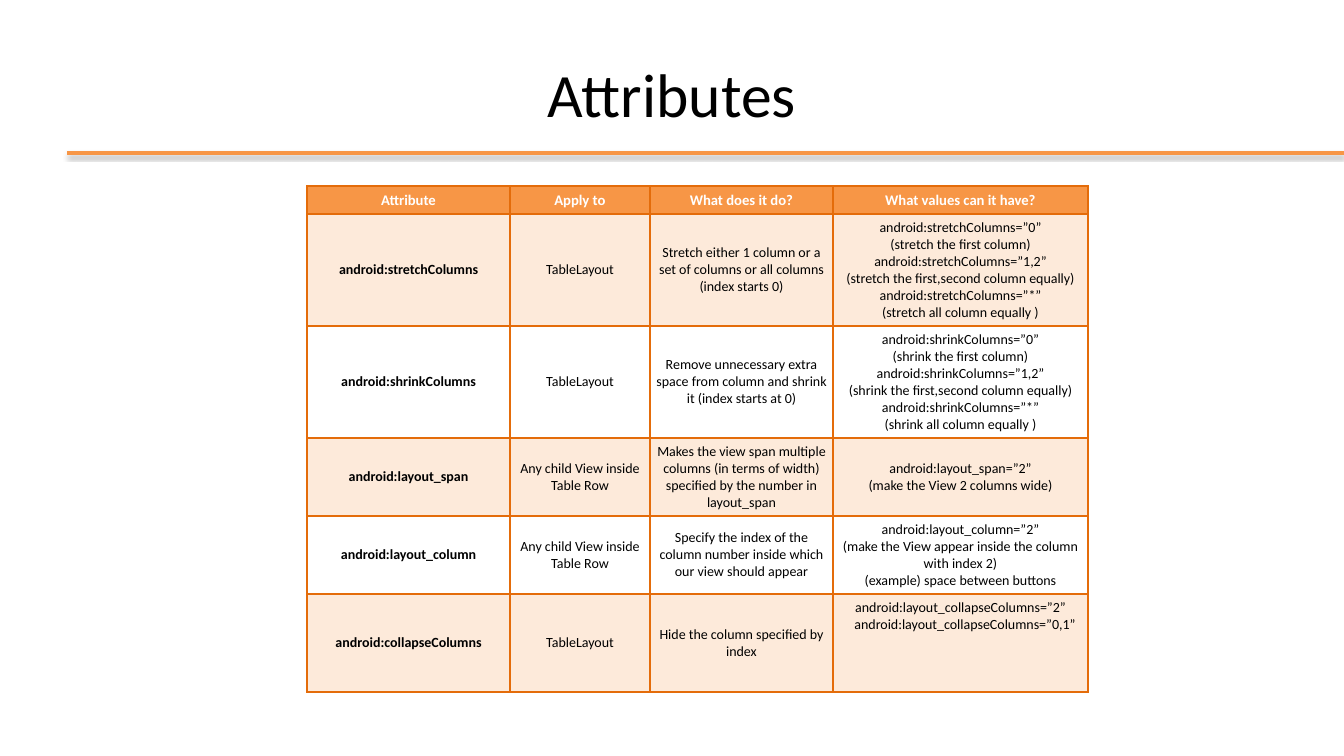
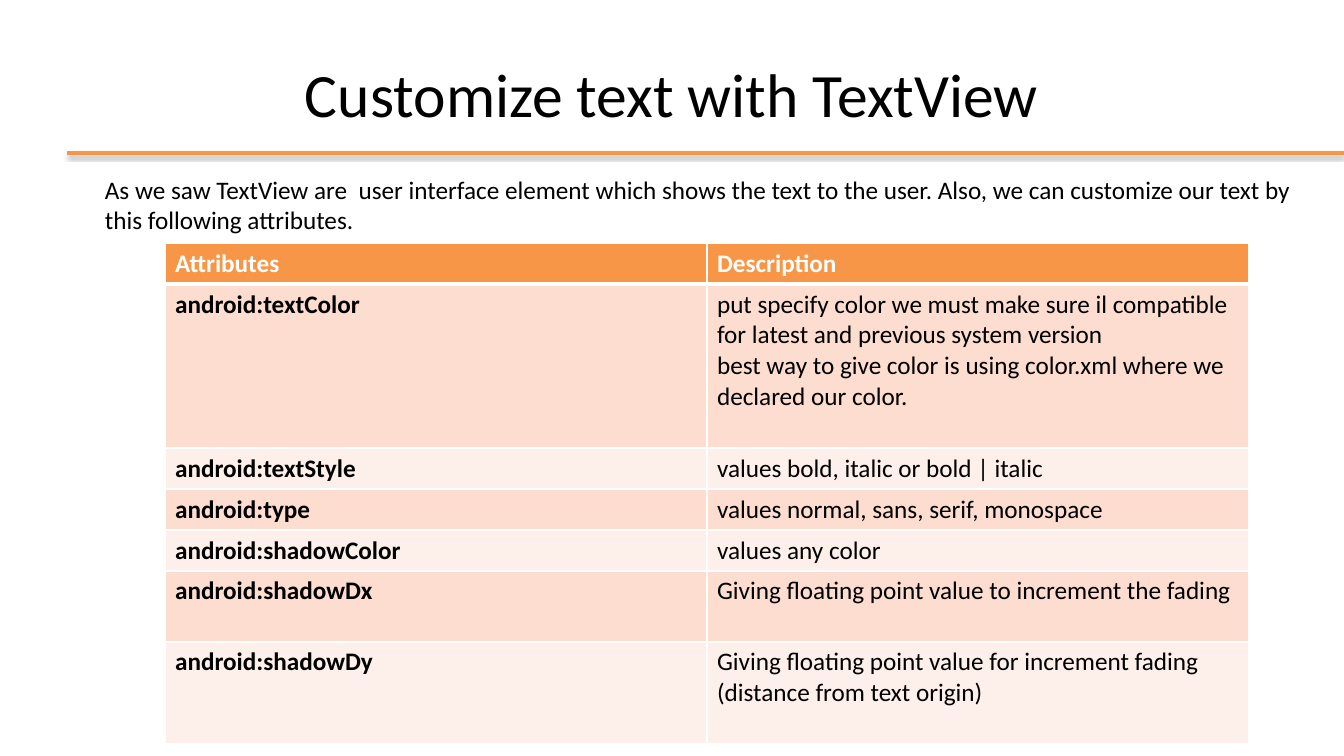
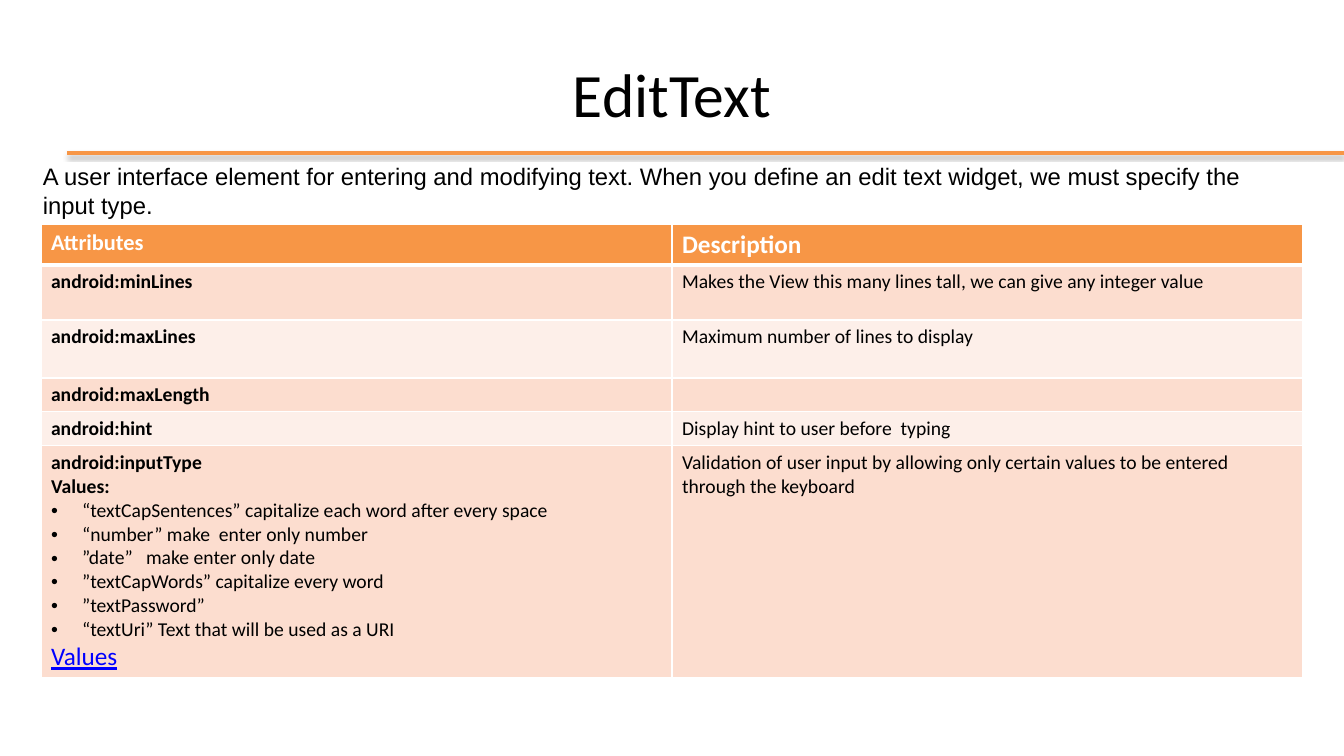
from lxml.etree import SubElement
from pptx import Presentation
from pptx.dml.color import RGBColor
from pptx.enum.shapes import MSO_CONNECTOR
from pptx.enum.text import MSO_ANCHOR, MSO_AUTO_SIZE, PP_ALIGN
from pptx.oxml.ns import qn
from pptx.util import Emu, Pt

BLACK = RGBColor(0x00, 0x00, 0x00)
WHITE = RGBColor(0xFF, 0xFF, 0xFF)
ORANGE = RGBColor(0xF7, 0x96, 0x46)
DARK_ORANGE = RGBColor(0xE4, 0x6C, 0x0A)
CREAM = RGBColor(0xFD, 0xEA, 0xDA)
PEACH = RGBColor(0xFC, 0xDD, 0xCF)
PALE_PEACH = RGBColor(0xFD, 0xEF, 0xE9)
LINK_BLUE = RGBColor(0x00, 0x00, 0xFF)

EMU_PER_INCH = 914400
PX_PER_INCH = 100.8
SLIDE_WIDTH, SLIDE_HEIGHT = 1344, 756
BULLET_INDENT = 31


def px(length):
    """Turn a length in px into EMU."""
    return Emu(round(length * EMU_PER_INCH / PX_PER_INCH))


def write(paragraph, text, size=18, font="Calibri", color=BLACK, bold=False,
          underline=False, align=PP_ALIGN.LEFT, indent=0, bullet=False):
    """Put formatted text into a paragraph."""
    paragraph.alignment = align
    properties = paragraph._p.get_or_add_pPr()
    if indent or bullet:
        properties.set("marL", str(px(BULLET_INDENT if bullet else indent)))
        properties.set("indent", str(-px(BULLET_INDENT) if bullet else 0))
    if bullet:
        SubElement(properties, qn("a:buFont"), typeface="Arial")
        SubElement(properties, qn("a:buChar"), char="•")
    if not text:
        SubElement(paragraph._p, qn("a:endParaRPr"), sz=str(size * 100))
        return
    run = paragraph.add_run()
    run.text = text
    run.font.size = Pt(size)
    run.font.name = font
    run.font.color.rgb = color
    run.font.bold = bold
    run.font.underline = underline


def write_lines(frame, lines, **text_format):
    """Write one paragraph per line; a dict line overrides the format."""
    for index, line in enumerate([lines] if isinstance(lines, str) else lines):
        paragraph = frame.add_paragraph() if index else frame.paragraphs[0]
        override = line if isinstance(line, dict) else {"text": line}
        write(paragraph, **{**text_format, **override})


def set_borders(cell, color, widths):
    """Draw the left, right, top and bottom borders of a cell."""
    properties = cell._tc.get_or_add_tcPr()
    for side, width in zip("LRTB", widths):
        border = SubElement(properties, qn(f"a:ln{side}"), w=str(Pt(width)))
        fill = SubElement(border, qn("a:solidFill"))
        SubElement(fill, qn("a:srgbClr"), val=str(color))


class Deck:
    """Hold the shared style and the current slide."""

    def __init__(self):
        """Start an empty widescreen presentation."""
        self.presentation = Presentation()
        self.presentation.slide_width = px(SLIDE_WIDTH)
        self.presentation.slide_height = px(SLIDE_HEIGHT)
        self.slide = None

    def add_slide(self, title):
        """Add a slide with its title and the rule under it."""
        layout = self.presentation.slide_layouts.get_by_name("Title Only")
        self.slide = self.presentation.slides.add_slide(layout)
        shape = self.slide.shapes.title
        shape.left, shape.top, shape.width, shape.height = map(px, (67, 30, 1210, 126))
        frame = shape.text_frame
        frame.auto_size = MSO_AUTO_SIZE.NONE
        frame.vertical_anchor = MSO_ANCHOR.MIDDLE
        write_lines(frame, title, size=44, align=PP_ALIGN.CENTER)
        self.rule(67, 153)

    def rule(self, left, top):
        """Draw the shadowed rule out to the right edge."""
        connector = self.slide.shapes.add_connector(
            MSO_CONNECTOR.STRAIGHT, px(left), px(top), px(SLIDE_WIDTH), px(top))
        connector.line.color.rgb = ORANGE
        connector.line.width = Pt(3)
        effects = SubElement(connector._element.spPr, qn("a:effectLst"))
        shadow = SubElement(effects, qn("a:outerShdw"), blurRad=str(Pt(3.1)),
                            dist=str(Pt(1.8)), dir="5400000", rotWithShape="0")
        color = SubElement(shadow, qn("a:srgbClr"), val=str(BLACK))
        SubElement(color, qn("a:alpha"), val="35000")

    def text(self, left, top, width, height, lines, **text_format):
        """Add a wrapping text box."""
        box = self.slide.shapes.add_textbox(*map(px, (left, top, width, height)))
        box.text_frame.word_wrap = True
        write_lines(box.text_frame, lines, **text_format)

    def table(self, left, top, columns, heights, rows, bands, border,
              header_size=18, size=18, rule_width=1, margin=None,
              anchor=MSO_ANCHOR.TOP, align=PP_ALIGN.LEFT):
        """Add a table with an orange header, banded rows and a bold first column."""
        table = self.slide.shapes.add_table(
            len(rows), len(columns), px(left), px(top),
            px(sum(columns)), px(sum(heights))).table
        for column, width in zip(table.columns, columns):
            column.width = px(width)
        for row_index, (row, height, values) in enumerate(zip(table.rows, heights, rows)):
            row.height = px(height)
            is_header = row_index == 0
            top_width = rule_width if row_index == 1 else 1
            bottom_width = rule_width if is_header else 1
            fill = ORANGE if is_header else bands[(row_index - 1) % 2]
            for column_index, (cell, lines) in enumerate(zip(row.cells, values)):
                set_borders(cell, border, (1, 1, top_width, bottom_width))
                cell.fill.solid()
                cell.fill.fore_color.rgb = fill
                cell.vertical_anchor = anchor
                if margin is not None:
                    cell.margin_left = cell.margin_right = px(margin)
                    cell.margin_top = cell.margin_bottom = px(margin)
                write_lines(cell.text_frame, lines, align=align,
                            size=header_size if is_header else size,
                            color=WHITE if is_header else BLACK,
                            bold=is_header or column_index == 0)
        return table

    def save(self):
        """Save the presentation."""
        self.presentation.save("out.pptx")


def add_layout_attributes(deck):
    """Build the slide on table layout attributes."""
    deck.add_slide("Attributes")
    rows = [
        ["Attribute", "Apply to", "What does it do?", "What values can it have?"],
        ["android:stretchColumns", "TableLayout",
         "Stretch either 1 column or a set of columns or all columns (index starts 0)",
         ["android:stretchColumns=”0”", "(stretch the first column)",
          "android:stretchColumns=”1,2”", "(stretch the first,second column equally)",
          "android:stretchColumns=”*”", "(stretch all column equally )"]],
        ["android:shrinkColumns", "TableLayout",
         "Remove unnecessary extra space from column and shrink it (index starts at 0)",
         ["android:shrinkColumns=”0”", "(shrink the first column)",
          "android:shrinkColumns=”1,2”", "(shrink the first,second column equally)",
          "android:shrinkColumns=”*”", "(shrink all column equally )"]],
        ["android:layout_span", "Any child View inside Table Row",
         "Makes the view span multiple columns (in terms of width) "
         "specified by the number in layout_span",
         ["android:layout_span=”2”", "(make the View 2 columns wide)"]],
        ["android:layout_column", "Any child View inside Table Row",
         "Specify the index of the column number inside which our view should appear",
         ["android:layout_column=”2”",
          "(make the View appear inside the column with index 2)",
          "(example) space between buttons"]],
        ["android:collapseColumns", "TableLayout", "Hide the column specified by index",
         ["android:layout_collapseColumns=”2”",
          {"text": "android:layout_collapseColumns=”0,1”", "indent": 9}]],
    ]
    table = deck.table(
        307, 186, [203, 140, 183, 255], [28, 112, 112, 78, 78, 98], rows,
        bands=(CREAM, WHITE), border=DARK_ORANGE, header_size=10.5, size=10,
        margin=5, anchor=MSO_ANCHOR.MIDDLE, align=PP_ALIGN.CENTER)
    table.cell(5, 3).vertical_anchor = MSO_ANCHOR.TOP


def add_text_view(deck):
    """Build the slide on text view attributes."""
    deck.add_slide("Customize text with TextView")
    deck.text(95, 169, 1210, 72,
              "As we saw TextView are  user interface element which shows the text to "
              "the user. Also, we can customize our text by this following attributes.")
    rows = [
        ["Attributes", "Description"],
        ["android:textColor",
         ["put specify color we must make sure il compatible for latest and "
          "previous system version",
          "best way to give color is using color.xml where we declared our color."]],
        ["android:textStyle", "values bold, italic or bold | italic"],
        ["android:type", "values normal, sans, serif, monospace"],
        ["android:shadowColor", "values any color"],
        ["android:shadowDx", "Giving floating point value to increment the fading"],
        ["android:shadowDy",
         "Giving floating point value for increment fading (distance from text origin)"],
    ]
    deck.table(165, 243, [542, 542], [41, 164, 41, 41, 41, 71, 102], rows,
               bands=(PEACH, PALE_PEACH), border=WHITE, rule_width=3)


def add_edit_text(deck):
    """Build the slide on edit text attributes."""
    deck.add_slide("EditText")
    deck.text(33, 157, 1260, 66,
              "A user interface element for entering and modifying text. When you define "
              "an edit text widget, we must specify the input type.",
              size=17, font="Arial")
    input_values = [
        "“textCapSentences” capitalize each word after every space",
        "“number” make  enter only number",
        "”date”   make enter only date",
        "”textCapWords” capitalize every word",
        "”textPassword”",
        "“textUri” Text that will be used as a URI",
    ]
    bullets = [{"text": value, "bullet": True, "bold": False} for value in input_values]
    link = {"text": "Values", "size": 18, "color": LINK_BLUE,
            "bold": False, "underline": True}
    rows = [
        ["Attributes", [{"text": "Description", "size": 18}]],
        ["android:minLines",
         "Makes the View this many lines tall, we can give any integer value"],
        ["android:maxLines", "Maximum number of lines to display"],
        ["android:maxLength", ""],
        ["android:hint", "Display hint to user before  typing"],
        ["android:inputType Values:".split() + bullets + [link],
         "Validation of user input by allowing only certain values to be entered "
         "through the keyboard"],
    ]
    deck.table(41, 224, [631, 631], [41, 55, 58, 34, 34, 232], rows,
               bands=(PEACH, PALE_PEACH), border=WHITE, header_size=16, size=14,
               rule_width=3)


def main():
    """Build and save the three slides."""
    deck = Deck()
    add_layout_attributes(deck)
    add_text_view(deck)
    add_edit_text(deck)
    deck.save()


if __name__ == "__main__":
    main()
